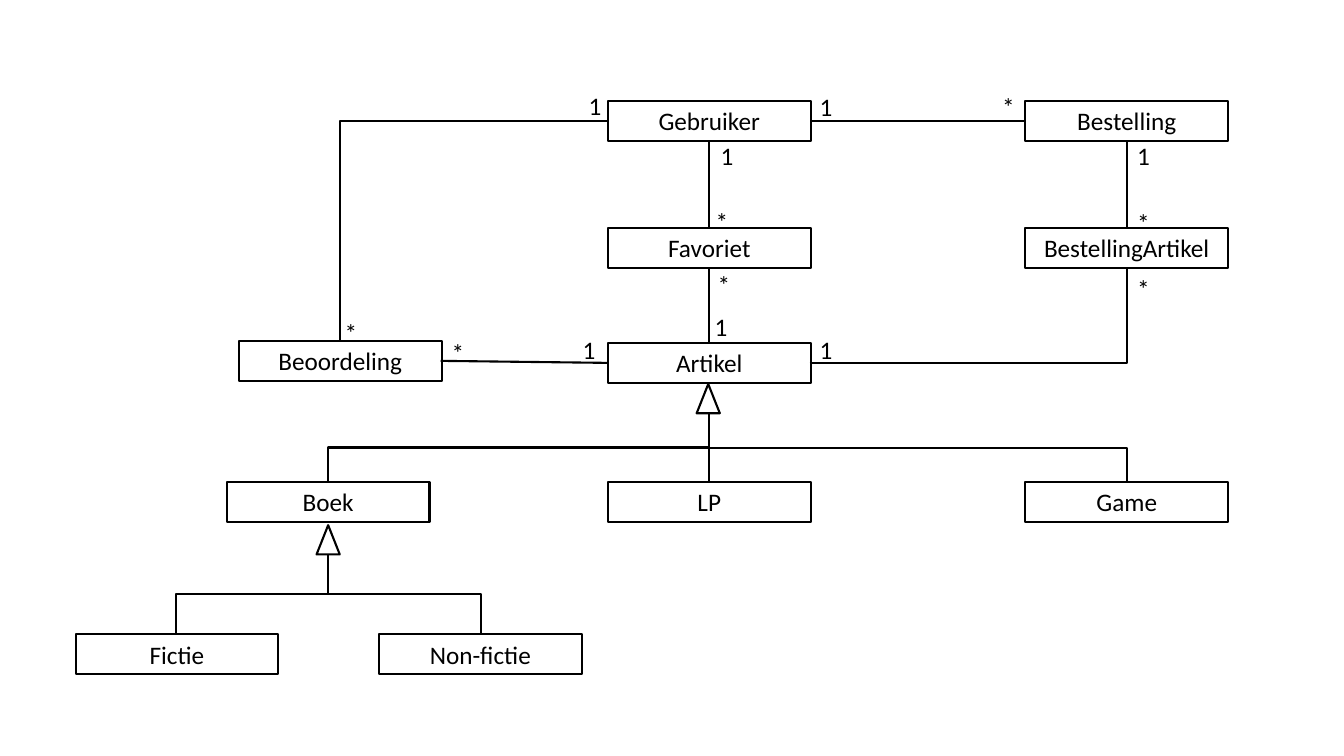
from pptx import Presentation
from pptx.dml.color import RGBColor
from pptx.enum.shapes import MSO_CONNECTOR, MSO_SHAPE
from pptx.enum.text import MSO_ANCHOR, PP_ALIGN
from pptx.oxml.ns import qn
from pptx.util import Inches, Pt
from lxml.etree import SubElement

COLORS = {"ink": "000000", "paper": "FFFFFF"}
INK = RGBColor.from_string(COLORS["ink"])
PAPER = RGBColor.from_string(COLORS["paper"])
FONT = {"name": "Calibri", "size": Pt(18)}
WIDE, HIGH = 2.01, 0.4

deck = Presentation()
deck.slide_width, deck.slide_height = Inches(13.33), Inches(7.5)
slide = deck.slides.add_slide(deck.slide_layouts[6])
shapes = slide.shapes


def write(shape, text, align):
    frame = shape.text_frame
    frame.word_wrap = True
    frame.vertical_anchor = MSO_ANCHOR.TOP
    para = frame.paragraphs[0]
    para.alignment = align
    run = para.add_run()
    run.text = text
    for key, value in FONT.items():
        setattr(run.font, key, value)
    run.font.color.rgb = INK


def join(kind, start, end, turn=False):
    (x1, y1), (x2, y2) = start, end
    if turn:
        mid_x, mid_y = (x1 + x2) / 2, (y1 + y2) / 2
        x1, y1, x2, y2 = (mid_x + y1 - mid_y, mid_y - x1 + mid_x,
                          mid_x + y2 - mid_y, mid_y - x2 + mid_x)
    line = shapes.add_connector(kind, *map(Inches, (x1, y1, x2, y2)))
    line.line.color.rgb = INK
    line.line.width = Pt(1.5)
    props = line._element.spPr
    SubElement(props, qn("a:effectLst"))
    if turn:
        props.find(qn("a:xfrm")).set("rot", str(90 * 60000))
    return props.find(qn("a:prstGeom"))


LEFT, MID, RIGHT = 3.25, 7.03, 11.18
RATE = 3.37

for start, end in [
    ((MID, 4.78), (MID, 4.1)),
    ((10.17, 1.2), (8.03, 1.2)),
    ((RIGHT, 1.4), (RIGHT, 2.26)),
    ((MID, 1.4), (MID, 2.26)),
    ((MID, 2.66), (MID, 3.4)),
    ((4.37, 3.58), (6.03, 3.6)),
]:
    join(MSO_CONNECTOR.STRAIGHT, start, end)

for start, end in [
    ((LEFT, 4.78), (MID, 4.1)),
    ((RIGHT, 4.78), (MID, 4.1)),
    ((1.75, 6.29), (LEFT, 5.5)),
    ((4.77, 6.29), (LEFT, 5.5)),
]:
    join(MSO_CONNECTOR.ELBOW, start, end, turn=True)

for start, end in [
    ((8.03, 3.6), (RIGHT, 2.66)),
    ((6.03, 1.2), (RATE, 3.38)),
]:
    join(MSO_CONNECTOR.ELBOW, start, end).set("prst", "bentConnector2")

classes = [
    ("Gebruiker", 6.03, 1), ("Bestelling", 10.17, 1),
    ("Favoriet", 6.03, 2.26), ("BestellingArtikel", 10.17, 2.26),
    ("Beoordeling", 2.37, 3.38), ("Artikel", 6.03, 3.4),
    ("Boek", 2.25, 4.78), ("LP", 6.03, 4.78), ("Game", 10.17, 4.78),
    ("Fictie", 0.75, 6.29), ("Non-fictie", 3.76, 6.29),
]
nodes = [(MSO_SHAPE.RECTANGLE, x, y, WIDE, HIGH, name) for name, x, y in classes]
nodes += [(MSO_SHAPE.ISOSCELES_TRIANGLE, x, y, 0.23, 0.29, "")
          for x, y in [(6.91, 3.81), (3.14, 5.21)]]
for kind, x, y, wide, high, name in nodes:
    node = shapes.add_shape(kind, *map(Inches, (x, y, wide, high)))
    node.shadow.inherit = False
    node.line.color.rgb = INK
    node.line.width = Pt(1.5)
    if name:
        node.fill.background()
        write(node, name, PP_ALIGN.CENTER)
    else:
        node.fill.solid()
        node.fill.fore_color.rgb = PAPER

counts = {
    "1": [(8.03, 0.86), (11.18, 1.34), (8.03, 3.27), (7.05, 1.34),
          (6.99, 3.04), (5.74, 0.85), (5.68, 3.27)],
    "*": [(9.84, 0.86), (11.18, 2.01), (11.18, 2.66), (7, 2),
          (7.02, 2.62), (4.38, 3.3), (3.32, 3.1)],
}
for mark, spots in counts.items():
    for x, y in spots:
        label = shapes.add_textbox(*map(Inches, (x, y, 0.41, HIGH)))
        write(label, mark, PP_ALIGN.LEFT)

deck.save("out.pptx")
